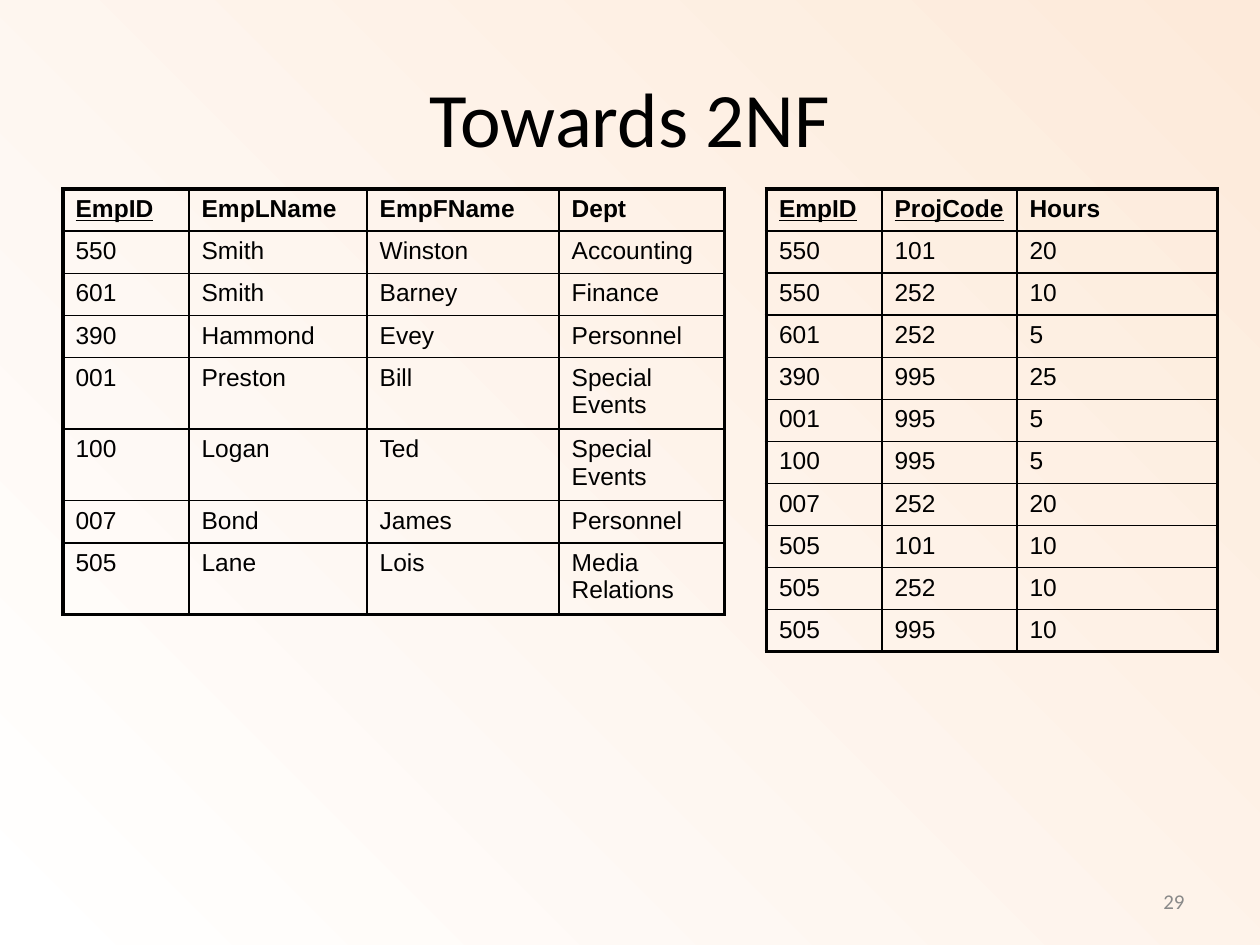
from lxml.etree import SubElement
from pptx import Presentation
from pptx.dml.color import RGBColor
from pptx.enum.text import MSO_ANCHOR, PP_ALIGN
from pptx.oxml.ns import qn
from pptx.util import Cm, Pt

COLORS = {"text": "000000", "number": "898989", "start": "FFFFFF", "end": "FDEADA"}
THIN, THICK = Pt(1), Pt(2.25)


def add_label(text, left, top, width, height, size, color, align):
    shape = slide.shapes.add_textbox(Cm(left), Cm(top), Cm(width), Cm(height))
    frame = shape.text_frame
    frame.word_wrap = True
    frame.vertical_anchor = MSO_ANCHOR.MIDDLE
    paragraph = frame.paragraphs[0]
    paragraph.text = text
    paragraph.alignment = align
    paragraph.font.name = "Calibri"
    paragraph.font.size = Pt(size)
    paragraph.font.color.rgb = RGBColor.from_string(COLORS[color])


def set_border(cell, side, width):
    line = SubElement(cell._tc.get_or_add_tcPr(), qn(f"a:ln{side}"), w=str(width))
    fill = SubElement(line, qn("a:solidFill"))
    SubElement(fill, qn("a:srgbClr"), val=COLORS["text"])


presentation = Presentation()
presentation.slide_width, presentation.slide_height = Cm(25.4), Cm(19.05)
slide = presentation.slides.add_slide(presentation.slide_layouts[6])

# Background: radial gradient from the bottom left corner
background = slide.background.fill
background.gradient()
for stop, name in zip(background.gradient_stops, ("start", "end")):
    stop.color.rgb = RGBColor.from_string(COLORS[name])
gradient = slide.element.find(f".//{qn('a:gradFill')}")
gradient.remove(gradient.find(qn("a:lin")))
radial = SubElement(gradient, qn("a:path"), path="circle")
SubElement(radial, qn("a:fillToRect"), t="100000", r="100000")

# Title
add_label("Towards 2NF", 1.27, 0.76, 22.86, 3.18, 44, "text", PP_ALIGN.CENTER)

# Tables: employees, and hours per project
employees = [
    ("EmpID", "EmpLName", "EmpFName", "Dept"),
    ("550", "Smith", "Winston", "Accounting"),
    ("601", "Smith", "Barney", "Finance"),
    ("390", "Hammond", "Evey", "Personnel"),
    ("001", "Preston", "Bill", "Special Events"),
    ("100", "Logan", "Ted", "Special Events"),
    ("007", "Bond", "James", "Personnel"),
    ("505", "Lane", "Lois", "Media Relations"),
]
project_hours = [
    ("EmpID", "ProjCode", "Hours"),
    ("550", "101", "20"),
    ("550", "252", "10"),
    ("601", "252", "5"),
    ("390", "995", "25"),
    ("001", "995", "5"),
    ("100", "995", "5"),
    ("007", "252", "20"),
    ("505", "101", "10"),
    ("505", "252", "10"),
    ("505", "995", "10"),
]
keys = {"EmpID", "ProjCode"}
single, double = 0.85, 1.44
employee_heights = [double if " " in row[-1] else single for row in employees]
hours_heights = [0.81] * len(project_hours)
tables = [
    (1.27, employees, [2.54, 3.59, 3.87, 3.33], employee_heights),
    (15.45, project_hours, [2.33, 2.72, 4.04], hours_heights),
]

for left, rows, widths, heights in tables:
    table = slide.shapes.add_table(
        len(rows), len(widths), Cm(left), Cm(3.81), Cm(sum(widths)), Cm(sum(heights))
    ).table
    table.first_row = table.horz_banding = False
    for column, width in zip(table.columns, widths):
        column.width = Cm(width)
    for row, height in zip(table.rows, heights):
        row.height = Cm(height)

    last_row, last_column = len(rows) - 1, len(widths) - 1
    for r, values in enumerate(rows):
        for c, value in enumerate(values):
            cell = table.cell(r, c)
            outer = {"L": c == 0, "R": c == last_column, "T": r == 0, "B": r == last_row}
            for side, is_outer in outer.items():
                set_border(cell, side, THICK if is_outer else THIN)
            cell.fill.background()
            paragraph = cell.text_frame.paragraphs[0]
            paragraph.text = value
            font = paragraph.font
            font.name, font.size = "Arial", Pt(14)
            font.bold = r == 0
            font.underline = value in keys
            font.color.rgb = RGBColor.from_string(COLORS["text"])

# Slide number
add_label("29", 18.21, 17.65, 5.92, 1.02, 12, "number", PP_ALIGN.RIGHT)

presentation.save("out.pptx")
